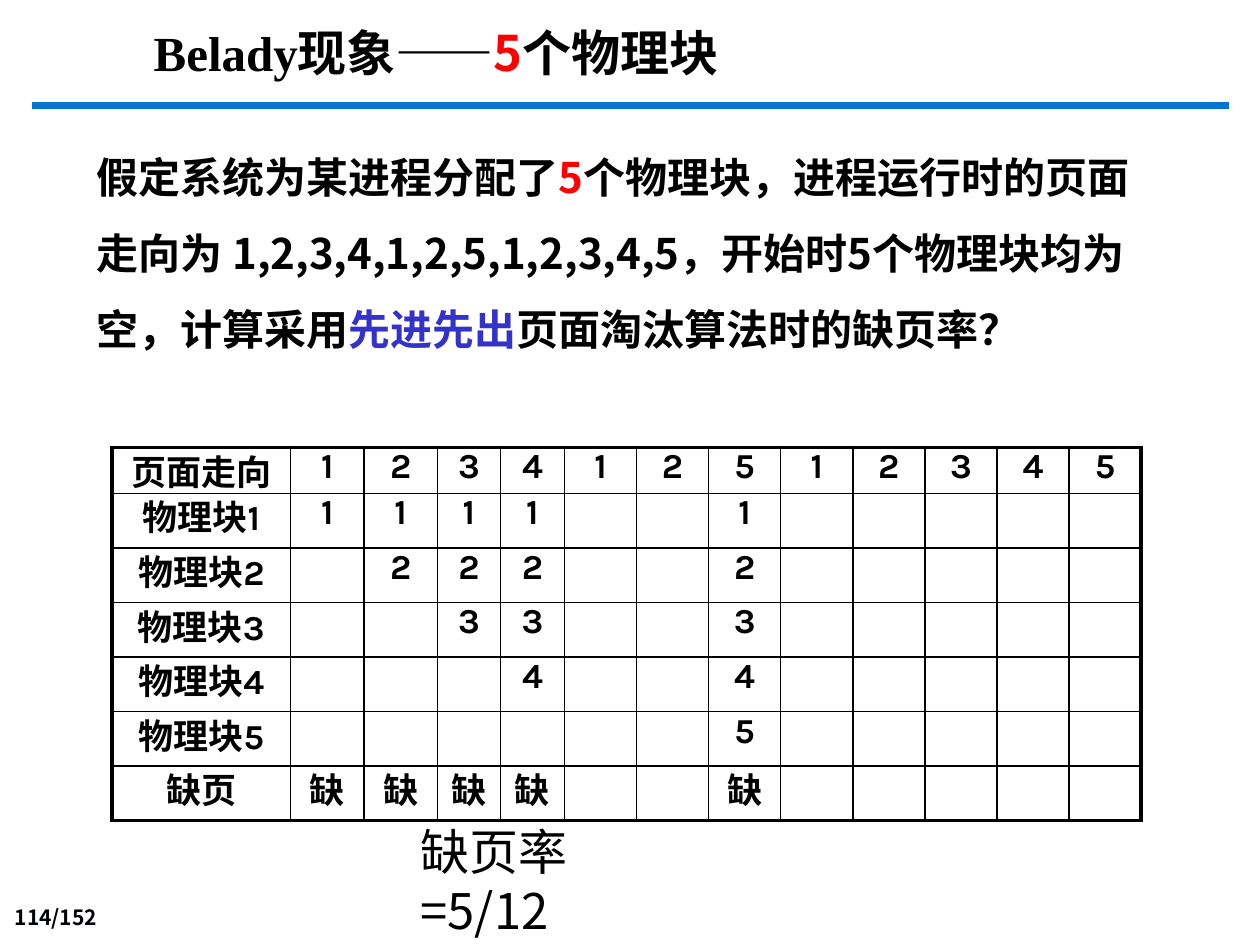
from dataclasses import dataclass
from typing import Optional

from lxml.etree import SubElement
from pptx import Presentation
from pptx.dml.color import RGBColor
from pptx.enum.text import MSO_ANCHOR, PP_ALIGN
from pptx.oxml.ns import qn
from pptx.util import Length, Pt


@dataclass(frozen=True)
class Theme:
    ink: str = "000000"
    page_ink: str = "000008"
    rule: str = "0574D0"
    alert: str = "FF0000"
    accent: str = "3333CC"
    heading_size: int = 28
    body_size: int = 24
    table_size: int = 20
    page_size: int = 12
    cjk: str = "Noto Sans CJK SC"
    page_font: str = "Noto Sans CJK JP"
    digits: str = "Karla"
    outer_border: float = 2.25
    inner_border: float = 1


THEME = Theme()


@dataclass(frozen=True)
class Run:
    text: str
    color: str = THEME.ink
    face: str = THEME.cjk


@dataclass(frozen=True)
class TextBlock:
    left: float
    top: float
    width: float
    height: float
    runs: tuple[Run, ...]
    size: int
    bold: bool = True
    line_height: Optional[float] = None
    align: PP_ALIGN = PP_ALIGN.LEFT
    anchor: MSO_ANCHOR = MSO_ANCHOR.TOP
    inset_left: float = 7.2
    inset_right: float = 7.2


def add_run(paragraph, run: Run, size: int, bold: bool) -> None:
    piece = paragraph.add_run()
    piece.text = run.text
    for name, value in {"name": run.face, "size": Pt(size), "bold": bold}.items():
        setattr(piece.font, name, value)
    piece.font.color.rgb = RGBColor.from_string(run.color)
    SubElement(piece.font._element, qn("a:ea"), typeface=THEME.cjk)


def draw_text(slide, block: TextBlock) -> None:
    frame = slide.shapes.add_textbox(
        Pt(block.left), Pt(block.top), Pt(block.width), Pt(block.height)
    ).text_frame
    frame_format = {
        "word_wrap": True,
        "vertical_anchor": block.anchor,
        "margin_left": Pt(block.inset_left),
        "margin_right": Pt(block.inset_right),
    }
    for name, value in frame_format.items():
        setattr(frame, name, value)
    paragraph = frame.paragraphs[0]
    paragraph.alignment = block.align
    if block.line_height:
        paragraph.line_spacing = Pt(block.line_height)
    for run in block.runs:
        add_run(paragraph, run, block.size, block.bold)


def draw_rule(slide, left: float, right: float, y: float) -> None:
    rule = slide.shapes.add_connector(1, Pt(left), Pt(y), Pt(right), Pt(y))
    rule.line.width = Pt(4.5)
    rule.line.color.rgb = RGBColor.from_string(THEME.rule)
    SubElement(rule._element.spPr, qn("a:effectLst"))


def add_border(cell, side: str, width: Length) -> None:
    border = SubElement(cell._tc.get_or_add_tcPr(), qn(f"a:ln{side}"), w=str(int(width)))
    fill = SubElement(border, qn("a:solidFill"))
    SubElement(fill, qn("a:srgbClr"), val=THEME.ink)


def draw_table(slide, left: float, top: float, widths: list[float],
               heights: list[float], rows: list[list[str]]) -> None:
    table = slide.shapes.add_table(
        len(rows), len(widths), Pt(left), Pt(top), Pt(sum(widths)), Pt(sum(heights))
    ).table
    for flag in ("first_row", "horz_banding"):
        setattr(table, flag, False)
    for column, width in zip(table.columns, widths):
        column.width = Pt(width)
    for row, height in zip(table.rows, heights):
        row.height = Pt(height)
    last_row, last_column = len(rows) - 1, len(widths) - 1
    for r, texts in enumerate(rows):
        for c, text in enumerate(texts):
            cell = table.cell(r, c)
            cell.margin_top, cell.margin_bottom = Pt(3), Pt(0)
            outer = {"L": c == 0, "R": c == last_column, "T": r == 0, "B": r == last_row}
            for side, is_outer in outer.items():
                add_border(cell, side, Pt(THEME.outer_border if is_outer else THEME.inner_border))
            cell.fill.background()
            paragraph = cell.text_frame.paragraphs[0]
            paragraph.alignment = PP_ALIGN.CENTER
            paragraph.line_spacing = 0.8
            if text:
                add_run(paragraph, Run(text, face=THEME.digits), THEME.table_size, True)


def frame_rows(pages: str, loaded: dict[int, int], blocks: int) -> list[list[str]]:
    """loaded maps a step with a page fault to the number of filled blocks."""
    steps = range(len(pages))
    rows = [["页面走向", *pages]]
    for block in range(1, blocks + 1):
        rows.append([f"物理块{block}"]
                    + [str(block) if loaded.get(step, 0) >= block else "" for step in steps])
    rows.append(["缺页"] + ["缺" if step in loaded else "" for step in steps])
    return rows


def main() -> None:
    deck = Presentation()
    deck.slide_width, deck.slide_height = Pt(720), Pt(540)
    slide = deck.slides.add_slide(deck.slide_layouts[6])

    # Header rule and page number
    draw_rule(slide, 18, 702, 60.3)
    draw_text(slide, TextBlock(
        0, 514, 62.6, 21, (Run("114/152", THEME.page_ink, THEME.page_font),),
        THEME.page_size, align=PP_ALIGN.RIGHT, anchor=MSO_ANCHOR.BOTTOM, inset_left=0))

    # Title
    draw_text(slide, TextBlock(
        80.8, 9.4, 376, 41,
        (Run("Belady", face="Times New Roman"), Run("现象——", face="Arial"),
         Run("5", THEME.alert), Run("个物理块")),
        THEME.heading_size, line_height=33.6))

    # Problem statement
    draw_text(slide, TextBlock(
        48.2, 68.4, 620.6, 138.2,
        (Run("假定系统为某进程分配了"), Run("5", THEME.alert),
         Run("个物理块，进程运行时的页面走向为 1,2,3,4,1,2,5,1,2,3,4,5，开始时5个物理块均为空，计算采用"),
         Run("先进先出", THEME.accent), Run("页面淘汰算法时的缺页率？")),
        THEME.body_size, line_height=43.4))

    # Page replacement table
    rows = frame_rows("123412512345", {0: 1, 1: 2, 2: 3, 3: 4, 6: 5}, blocks=5)
    draw_table(slide, 64, 255.6, [102, 42, 42, 36, 36.6] + [41.2] * 8,
               [26.3] + [31.2] * 6, rows)

    # Page fault rate
    draw_text(slide, TextBlock(
        233.2, 465.8, 171.4, 41, (Run("缺页率=5/12"),), THEME.heading_size,
        bold=False, line_height=33.6, inset_right=68))

    deck.save("out.pptx")


if __name__ == "__main__":
    main()
